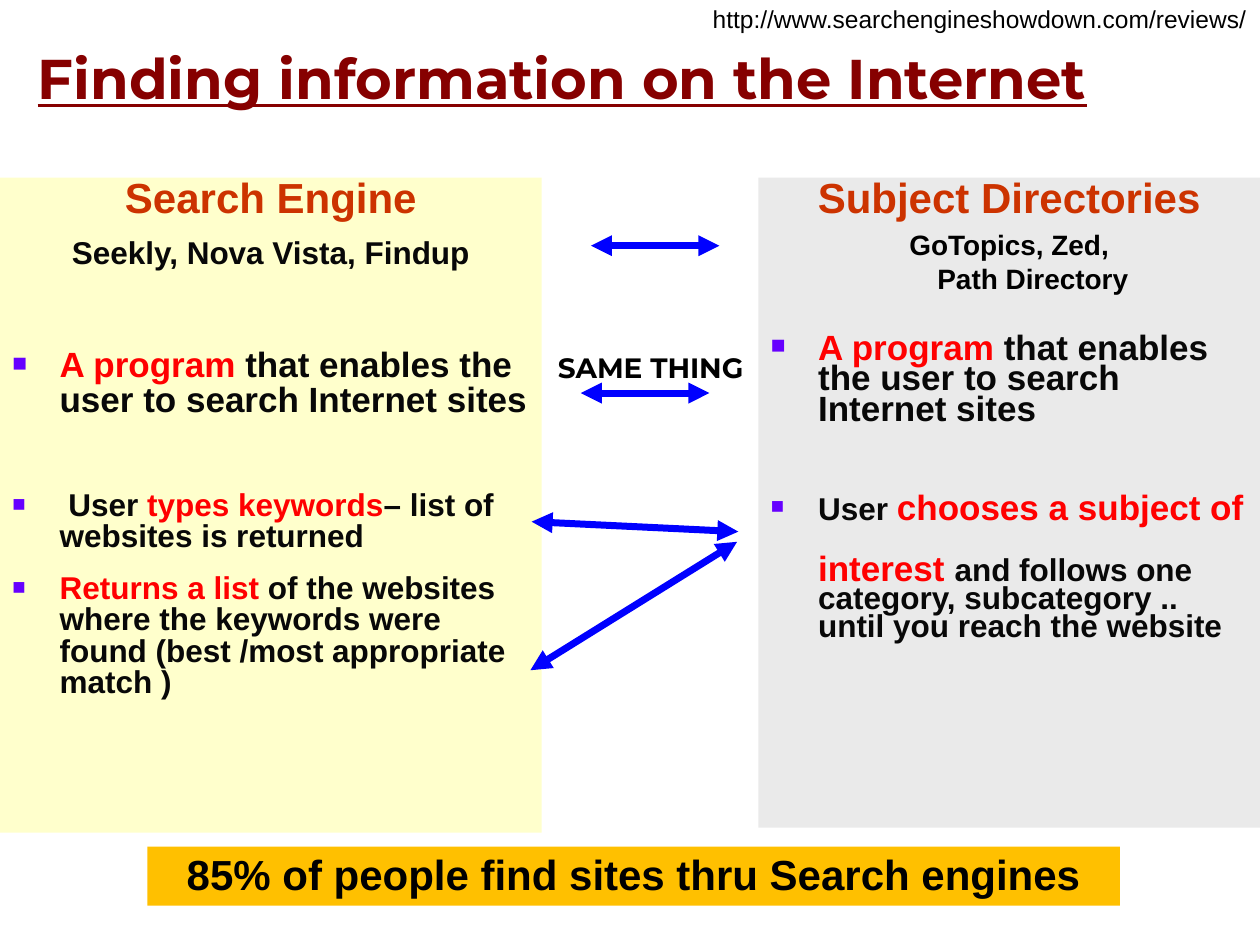
from dataclasses import dataclass
from typing import Optional

import pptx
import pptx.dml.color
import pptx.enum.shapes
import pptx.enum.text
import pptx.oxml.ns
import pptx.util
from lxml import etree

Pt = pptx.util.Pt
ALIGN = pptx.enum.text.PP_ALIGN
ANCHOR = pptx.enum.text.MSO_ANCHOR
SHAPES = pptx.enum.shapes.MSO_SHAPE


@dataclass(frozen=True)
class Theme:
    title: str = "860000"
    heading: str = "CC3300"
    accent: str = "FF0000"
    body: str = "080808"
    black: str = "000000"
    bullet: str = "6600FF"
    arrow: str = "0000FF"
    engine_fill: str = "FFFFCC"
    directory_fill: str = "EAEAEA"
    banner_fill: str = "FFC000"
    body_font: str = "Arial"
    title_font: str = "Montserrat"
    title_size: float = 32
    heading_size: float = 24
    large: float = 20
    medium: float = 18
    small: float = 16
    url_size: float = 14
    hang: float = 27
    arrow_width: float = 4


THEME = Theme()


@dataclass(frozen=True)
class Run:
    text: str
    size: float
    color: str = THEME.body
    bold: bool = True
    font: str = THEME.body_font
    underline: bool = False


@dataclass(frozen=True)
class Para:
    runs: tuple[Run, ...]
    before: float = 0
    spacing: float = 1
    align: ALIGN = ALIGN.LEFT
    margin: float = 0
    indent: float = 0
    bullet: bool = False


@dataclass(frozen=True)
class Box:
    left: float
    top: float
    width: float
    height: float
    paras: tuple[Para, ...]
    fill: Optional[str] = None
    anchor: ANCHOR = ANCHOR.TOP


@dataclass(frozen=True)
class Arrow:
    x1: float
    y1: float
    x2: float
    y2: float


def rgb(color: str) -> pptx.dml.color.RGBColor:
    return pptx.dml.color.RGBColor.from_string(color)


def sub(parent, tag: str, **attrs: str):
    return etree.SubElement(parent, pptx.oxml.ns.qn(tag), attrs)


def write_paragraph(paragraph, para: Para) -> None:
    props = paragraph._p.get_or_add_pPr()
    props.set("marL", str(Pt(para.margin)))
    props.set("indent", str(Pt(para.indent)))
    paragraph.alignment = para.align
    paragraph.line_spacing = para.spacing
    paragraph.space_before = Pt(para.before)
    if para.bullet:
        sub(sub(props, "a:buClr"), "a:srgbClr", val=THEME.bullet)
        sub(props, "a:buSzPct", val="70000")
        sub(props, "a:buFont", typeface=THEME.body_font)
        sub(props, "a:buChar", char="■")
    for part in para.runs:
        for number, line in enumerate(part.text.split("\n")):
            if number:
                paragraph.add_line_break()
            run = paragraph.add_run()
            run.text = line
            run.font.size = Pt(part.size)
            run.font.name = part.font
            run.font.bold = part.bold
            run.font.underline = part.underline
            run.font.color.rgb = rgb(part.color)


def draw_box(slide, box: Box) -> None:
    place = [Pt(v) for v in (box.left, box.top, box.width, box.height)]
    if box.fill:
        shape = slide.shapes.add_shape(SHAPES.RECTANGLE, *place)
        shape.shadow.inherit = False
        shape.fill.solid()
        shape.fill.fore_color.rgb = rgb(box.fill)
        shape.line.fill.background()
    else:
        shape = slide.shapes.add_textbox(*place)
    frame = shape.text_frame
    frame.word_wrap = True
    frame.vertical_anchor = box.anchor
    for number, para in enumerate(box.paras):
        write_paragraph(frame.add_paragraph() if number else frame.paragraphs[0], para)


def draw_arrow(slide, arrow: Arrow) -> None:
    line = slide.shapes.add_connector(
        pptx.enum.shapes.MSO_CONNECTOR.STRAIGHT,
        Pt(arrow.x1), Pt(arrow.y1), Pt(arrow.x2), Pt(arrow.y2))
    line.line.color.rgb = rgb(THEME.arrow)
    line.line.width = Pt(THEME.arrow_width)
    outline = line.line._get_or_add_ln()
    for end in ("a:headEnd", "a:tailEnd"):
        sub(outline, end, type="triangle")
    sub(line._element.spPr, "a:effectLst")


def heading(text: str) -> Para:
    return Para((Run(text, THEME.heading_size, THEME.heading),), spacing=0.73,
                align=ALIGN.CENTER, margin=THEME.hang, indent=-THEME.hang)


def examples(text: str, size: float, color: str, before: float, spacing: float) -> Para:
    return Para((Run(text, size, color),), before, spacing, ALIGN.CENTER,
                THEME.hang, -THEME.hang)


def point(before: float, spacing: float, *runs: Run, bullet: bool = True) -> Para:
    return Para(runs, before, spacing, margin=THEME.hang,
                indent=-THEME.hang if bullet else 0, bullet=bullet)


def accent(text: str, size: float) -> Run:
    return Run(text, size, THEME.accent)


def centred(run: Run, spacing: float = 1) -> tuple[Para, ...]:
    return (Para((run,), spacing=spacing, align=ALIGN.CENTER),)


L, M = THEME.large, THEME.medium
ENGINE_SPACING, DIRECTORY_SPACING = 0.83, 0.73
program = (accent("A program", L), Run(" that enables the user to search Internet sites", L))

engine_paras = (
    heading("Search Engine"),
    examples("Seekly, Nova Vista, Findup", M, THEME.body, 10.8, ENGINE_SPACING),
    point(45, ENGINE_SPACING, *program),
    point(41, ENGINE_SPACING, Run(" User ", M), accent("types keywords", M),
          Run("– list of websites is returned", M)),
    point(11.7, ENGINE_SPACING, accent("Returns a list", M),
          Run(" of the websites where the keywords were found "
              "(best /most appropriate match )", M)),
)
directory_paras = (
    heading("Subject Directories"),
    examples("GoTopics, Zed,\nPath Directory", THEME.small, THEME.black, 4, 1),
    point(23.4, DIRECTORY_SPACING, *program),
    point(39, DIRECTORY_SPACING, Run("User ", M), accent("chooses a subject of", L)),
    point(17.5, DIRECTORY_SPACING, accent("interest ", L),
          Run("and follows one category, subcategory .. until you reach the website", M),
          bullet=False),
)

BOXES = (
    # Title
    Box(14.4, 20.2, 661, 48.2, (Para((Run(
        "Finding information on the Internet", THEME.title_size, THEME.title,
        font=THEME.title_font, underline=True),)),), anchor=ANCHOR.MIDDLE),
    # Two compared columns
    Box(0, 101.5, 309.6, 374.4, engine_paras, THEME.engine_fill),
    Box(433.4, 101.5, 286.6, 371.5, directory_paras, THEME.directory_fill),
    # Conclusion
    Box(84.2, 483.8, 555.8, 33.8, centred(Run(
        "85% of people find sites thru Search engines", THEME.heading_size, THEME.black),
        0.93), THEME.banner_fill, ANCHOR.MIDDLE),
    # Web address and label between the columns
    Box(399.6, 0, 320.4, 23, centred(Run(
        "http://www.searchengineshowdown.com/reviews/", THEME.url_size, THEME.black,
        bold=False), 0.93)),
    Box(298, 196.6, 147.6, 26.6, centred(Run(
        "SAME THING", THEME.small, THEME.black, font=THEME.title_font))),
)

ARROWS = (
    Arrow(337.7, 140.4, 411.1, 140.4),
    Arrow(331.9, 224.6, 405.4, 224.6),
    Arrow(303.8, 298.1, 421.9, 303.8),
    Arrow(303.1, 383, 421.2, 309.6),
)


def main() -> None:
    deck = pptx.Presentation()
    deck.slide_width, deck.slide_height = Pt(720), Pt(540)
    slide = deck.slides.add_slide(deck.slide_layouts[6])
    for box in BOXES:
        draw_box(slide, box)
    for arrow in ARROWS:
        draw_arrow(slide, arrow)
    deck.save("out.pptx")


if __name__ == "__main__":
    main()
